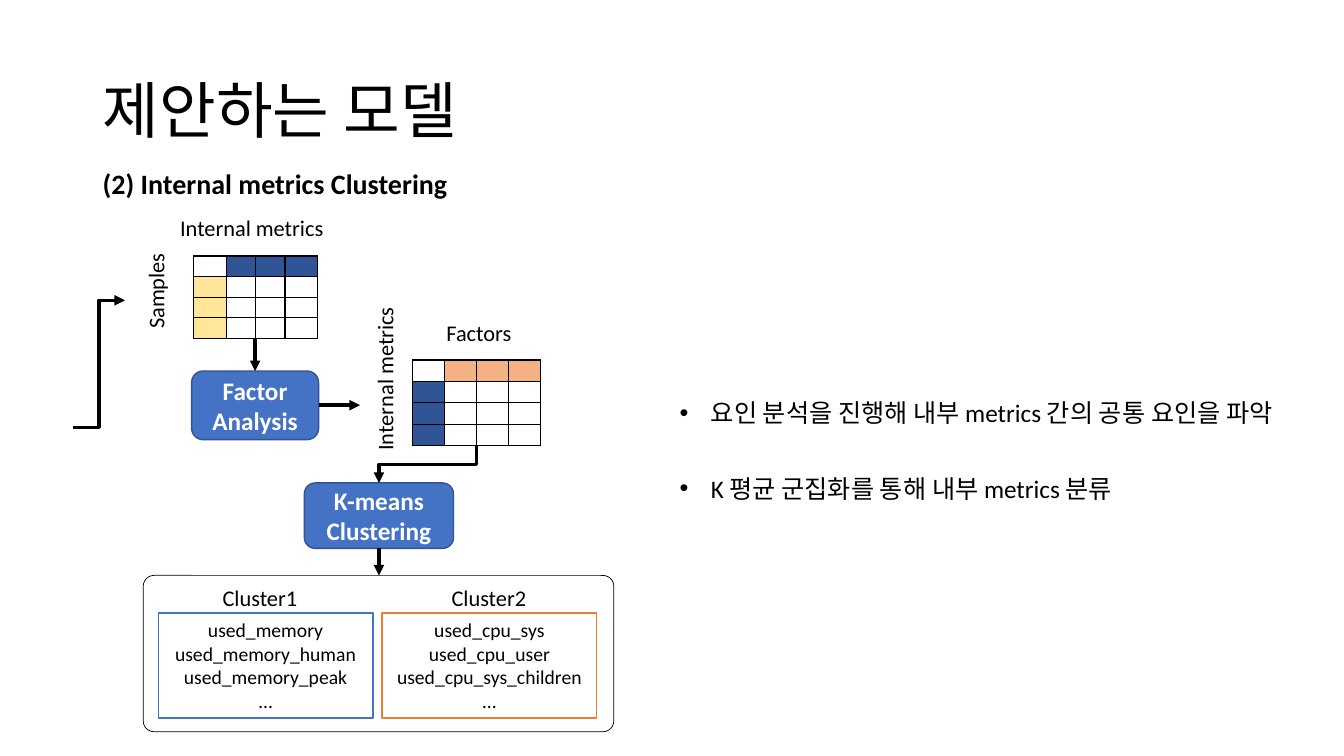
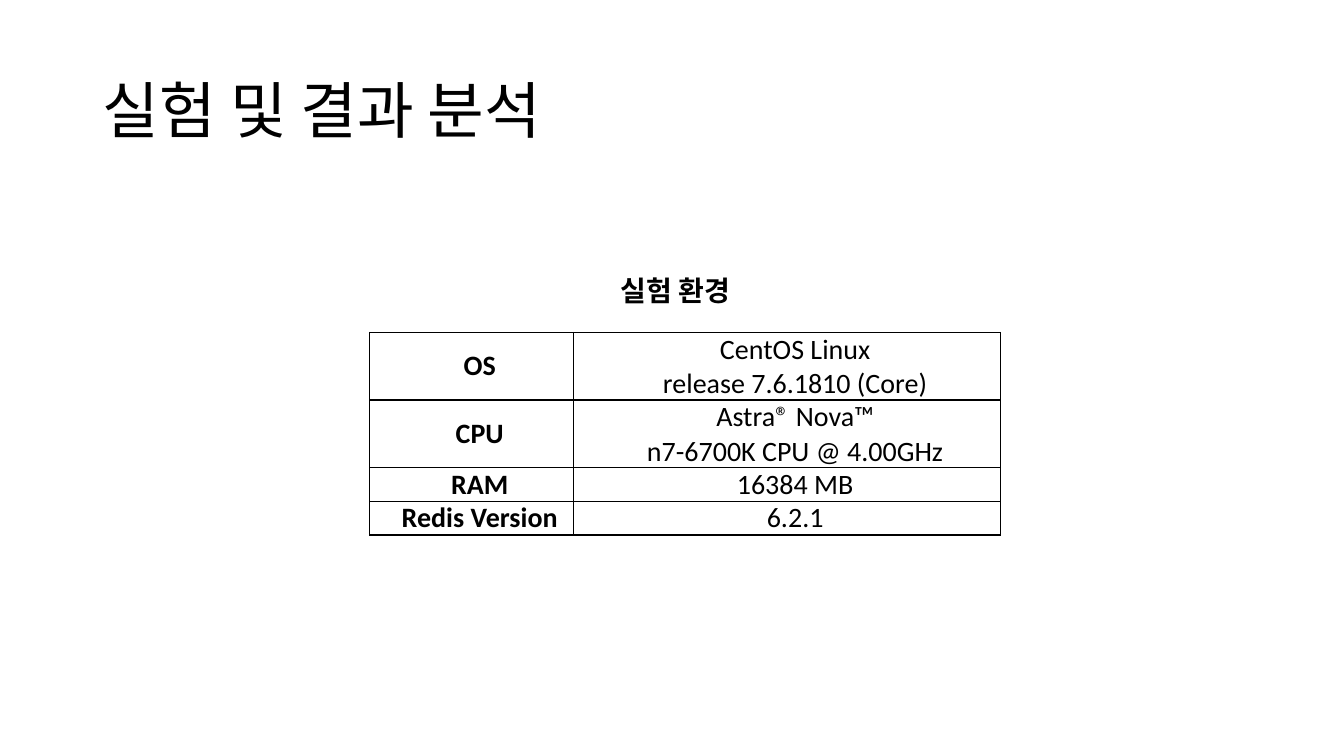
"""Build two slides: a metrics clustering model and its test environment."""
import pptx
import pptx.dml.color
import pptx.enum.shapes
import pptx.enum.text
import pptx.oxml
import pptx.oxml.ns
import pptx.util
from lxml import etree

Cm, Pt = pptx.util.Cm, pptx.util.Pt
ALIGN, ANCHOR = pptx.enum.text.PP_ALIGN, pptx.enum.text.MSO_ANCHOR
SHAPE, LINE = pptx.enum.shapes.MSO_SHAPE, pptx.enum.shapes.MSO_CONNECTOR
qn = pptx.oxml.ns.qn

THEME = {
    "font": "Calibri",
    "color": {"black": "000000", "white": "FFFFFF", "blue": "4472C4", "edge": "325491",
              "navy": "2F5597", "yellow": "FFE699", "peach": "F4B183", "orange": "ED7D31"},
    "size": {"title": 44, "heading": 20, "step": 18, "bullet": 18, "label": 16,
             "item": 14, "cell": 20, "blank": 6},
}
TITLE_BOX = (2.34, 1.02, 29.21, 3.68)

MODEL_TITLE = "제안하는 모델"
MODEL_HEADING = ("(2) Internal metrics Clustering", (2.34, 4.06, 10.9, 1.12))
BULLETS = ["요인 분석을 진행해 내부 metrics 간의 공통 요인을 파악",
           "K 평균 군집화를 통해 내부 metrics 분류"]
BULLET_BOX = (16.87, 8.74, 17.68, 3.78)
MATRICES = [
    {"at": (4.88, 6.45), "cols": [0.82, 0.74, 0.74, 0.82], "row": 0.52,
     "top": "navy", "side": "yellow"},
    {"at": (10.39, 9.07), "cols": [0.81] * 4, "row": 0.54,
     "top": "peach", "side": "navy"},
]
STEPS = [(["Factor", "Analysis"], (4.83, 9.35, 3.2, 1.73)),
         (["K-means", "Clustering"], (7.67, 12.17, 3.76, 1.65))]
LABELS = [("Internal metrics", (4.29, 5.26, 4.17, 0.94), 0),
          ("Samples", (2.31, 6.45, 3.23, 0.94), 270),
          ("Factors", (11, 7.92, 2.49, 0.94), 0),
          ("Internal metrics", (7.37, 8.81, 4.65, 0.94), 270)]
CLUSTER_FRAME = (3.61, 14.5, 11.86, 3.94)
CLUSTERS = [
    {"name": "Cluster1", "name_at": 5.36, "left": 3.99, "line": "blue",
     "items": ["used_memory", "used_memory_human", "used_memory_peak", "…"]},
    {"name": "Cluster2", "name_at": 11.13, "left": 9.63, "line": "orange",
     "items": ["used_cpu_sys", "used_cpu_user", "used_cpu_sys_children", "…"]},
]
ARROWS = [("STRAIGHT", (8.03, 10.21), (9.07, 10.21)),
          ("STRAIGHT", (6.43, 8.53), (6.43, 9.35)),
          ("STRAIGHT", (9.55, 13.82), (9.55, 14.5)),
          ("ELBOW", (1.83, 10.77), (3.15, 7.57))]
FACTORS_TO_KMEANS = ((12.01, 11.23), (9.55, 12.17))

TEST_TITLE = "실험 및 결과 분석"
TEST_HEADING = ("실험 환경", (15.39, 6.76, 8.86, 1.12))
ENVIRONMENT = [("OS", ["CentOS Linux", "release 7.6.1810 (Core)"]),
               ("CPU", ["Astra® Nova™", "n7-6700K CPU @ 4.00GHz"]),
               ("RAM", ["16384 MB"]),
               ("Redis Version", ["6.2.1"])]
ENVIRONMENT_AT = (9.32, 8.38)
ENVIRONMENT_COLS = [5.13, 10.77]
TEXT_LINE = 0.85


def rgb(name):
    return pptx.dml.color.RGBColor.from_string(THEME["color"][name])


def cms(values):
    return [Cm(v) for v in values]


def put(obj, **values):
    for name, value in values.items():
        setattr(obj, name, value)


def write(tf, lines, size, color="black", bold=False, frame=None, **para):
    put(tf, **{"word_wrap": True, **(frame or {})})
    for i, text in enumerate(lines):
        p = tf.paragraphs[0] if i == 0 else tf.add_paragraph()
        put(p, **para)
        r = p.add_run()
        r.text = text
        put(r.font, name=THEME["font"], size=Pt(THEME["size"][size]), bold=bold)
        r.font.color.rgb = rgb(color)


def indent(tf, left, first):
    for p in tf.paragraphs:
        pPr = p._p.get_or_add_pPr()
        pPr.set("marL", str(Cm(left)))
        pPr.set("indent", str(Cm(first)))


def add_slide(prs, layout, title):
    s = prs.slides.add_slide(prs.slide_layouts[layout])
    place(s.shapes.title, TITLE_BOX)
    write(s.shapes.title.text_frame, [title], "title", alignment=ALIGN.LEFT, line_spacing=0.9,
          frame={"vertical_anchor": ANCHOR.MIDDLE, "auto_size": pptx.enum.text.MSO_AUTO_SIZE.NONE})
    return s


def place(sp, box):
    put(sp, **dict(zip(("left", "top", "width", "height"), cms(box))))


def add_text(s, text, box, size, bold=False, rotation=0):
    sp = s.shapes.add_textbox(*cms(box))
    sp.rotation = rotation
    write(sp.text_frame, [text], size, bold=bold)


def add_box(s, kind, box, fill, line, width):
    sp = s.shapes.add_shape(kind, *cms(box))
    sp.shadow.inherit = False
    sp.fill.solid()
    sp.fill.fore_color.rgb = rgb(fill)
    sp.line.color.rgb = rgb(line)
    sp.line.width = Pt(width)
    return sp


def add_arrow(s, kind, start, end):
    c = s.shapes.add_connector(getattr(LINE, kind), *cms(start + end))
    c.line.color.rgb = rgb("black")
    c.line.width = Pt(2.5)
    etree.SubElement(c.line._get_or_add_ln(), qn("a:tailEnd"), type="triangle")
    etree.SubElement(c._element.spPr, qn("a:effectLst"))
    return c


def add_down_elbow(s, start, end):
    (x1, y1), (x2, y2) = start, end
    mid_x, mid_y = (x1 + x2) / 2, (y1 + y2) / 2
    half_w, half_h = (y2 - y1) / 2, (x1 - x2) / 2
    c = add_arrow(s, "ELBOW", (mid_x - half_w, mid_y - half_h), (mid_x + half_w, mid_y + half_h))
    c._element.spPr.find(qn("a:xfrm")).set("rot", "5400000")


def format_cell(cell, fill):
    tcPr = cell._tc.get_or_add_tcPr()
    for side in ("lnL", "lnR", "lnT", "lnB"):
        ln = etree.SubElement(tcPr, qn("a:" + side), w=str(Pt(1)))
        solid = etree.SubElement(ln, qn("a:solidFill"))
        etree.SubElement(solid, qn("a:srgbClr"), val=THEME["color"]["black"])
    cell.fill.solid()
    cell.fill.fore_color.rgb = rgb(fill)


def add_grid(s, at, cols, rows):
    size = (sum(cols), sum(rows))
    table = s.shapes.add_table(len(rows), len(cols), *cms(at + size)).table
    put(table, first_row=False, horz_banding=False)
    for col, width in zip(table.columns, cols):
        col.width = Cm(width)
    for row, height in zip(table.rows, rows):
        row.height = Cm(height)
    return table


def add_matrix(s, at, cols, row, top, side):
    table = add_grid(s, at, cols, [row] * 4)
    for r in range(4):
        for c in range(4):
            cell = table.cell(r, c)
            fill = top if r == 0 and c else side if r and c == 0 else "white"
            format_cell(cell, fill)
            put(cell, margin_left=0, margin_right=0, margin_top=0, margin_bottom=0)
            etree.SubElement(cell.text_frame.paragraphs[0]._p, qn("a:endParaRPr"),
                             sz=str(THEME["size"]["blank"] * 100))


def add_environment(s):
    heights = [TEXT_LINE * len(values) for _, values in ENVIRONMENT]
    table = add_grid(s, ENVIRONMENT_AT, ENVIRONMENT_COLS, heights)
    for r, (name, values) in enumerate(ENVIRONMENT):
        for c, lines in enumerate(([name], values)):
            cell = table.cell(r, c)
            format_cell(cell, "white")
            put(cell, margin_left=Cm(0.18), margin_right=Cm(0.18), margin_top=0,
                margin_bottom=0, vertical_anchor=ANCHOR.MIDDLE)
            write(cell.text_frame, lines, "cell", bold=c == 0, alignment=ALIGN.CENTER)
            indent(cell.text_frame, 0, 0.41)


def add_clusters(s):
    frame = add_box(s, SHAPE.ROUNDED_RECTANGLE, CLUSTER_FRAME, "white", "black", 0.5)
    frame.adjustments[0] = 0.07
    top = CLUSTER_FRAME[1]
    for cluster in CLUSTERS:
        sp = add_box(s, SHAPE.RECTANGLE, (cluster["left"], top + 0.95, 5.41, 2.64),
                     "white", cluster["line"], 1)
        write(sp.text_frame, cluster["items"], "item", alignment=ALIGN.CENTER,
              frame={"vertical_anchor": ANCHOR.TOP})
        add_text(s, cluster["name"], (cluster["name_at"], top + 0.1, 2.82, 0.94), "label")


def build_model(prs):
    s = add_slide(prs, 1, MODEL_TITLE)
    body = s.placeholders[1]
    place(body, BULLET_BOX)
    write(body.text_frame, BULLETS, "bullet", line_spacing=2.5, space_before=Pt(0),
          frame={"auto_size": pptx.enum.text.MSO_AUTO_SIZE.NONE})
    indent(body.text_frame, 0.79, -0.79)
    add_text(s, *MODEL_HEADING, "heading", bold=True)
    for matrix in MATRICES:
        add_matrix(s, **matrix)
    for lines, box in STEPS:
        sp = add_box(s, SHAPE.ROUNDED_RECTANGLE, box, "blue", "edge", 1)
        write(sp.text_frame, lines, "step", "white", True, alignment=ALIGN.CENTER,
              frame={"vertical_anchor": ANCHOR.MIDDLE})
    for text, box, rotation in LABELS:
        add_text(s, text, box, "label", rotation=rotation)
    add_clusters(s)
    for arrow in ARROWS:
        add_arrow(s, *arrow)
    add_down_elbow(s, *FACTORS_TO_KMEANS)


def build_test(prs):
    s = add_slide(prs, 5, TEST_TITLE)
    add_text(s, *TEST_HEADING, "heading", bold=True)
    add_environment(s)


def main():
    prs = pptx.Presentation()
    put(prs, slide_width=Cm(33.87), slide_height=Cm(19.05))
    build_model(prs)
    build_test(prs)
    prs.save("out.pptx")


if __name__ == "__main__":
    main()
